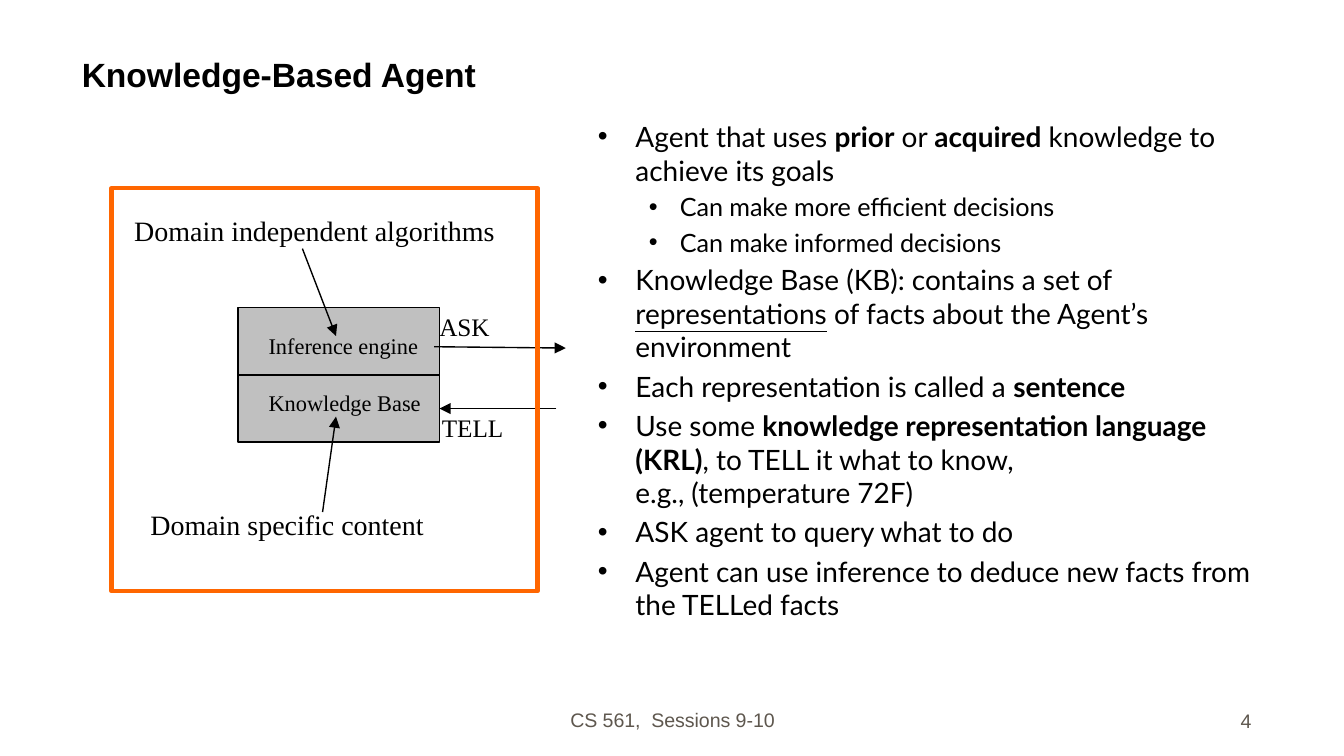
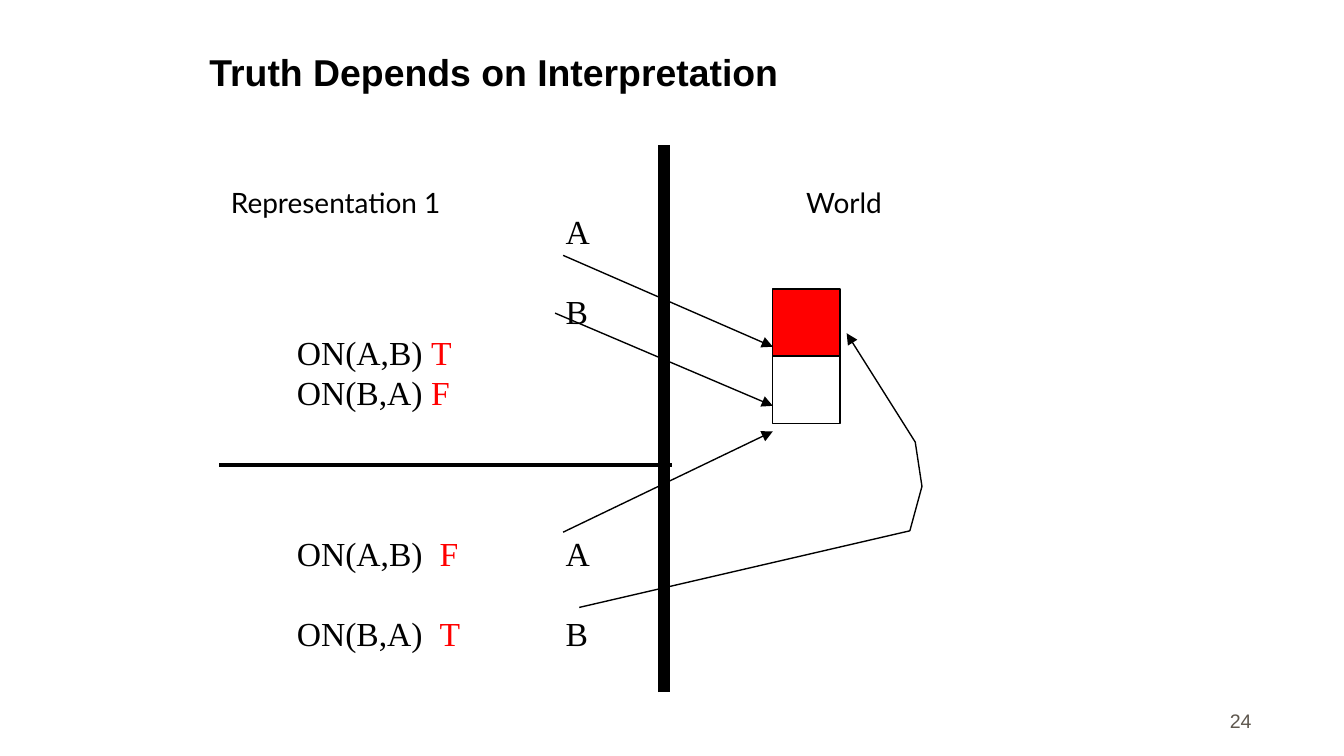
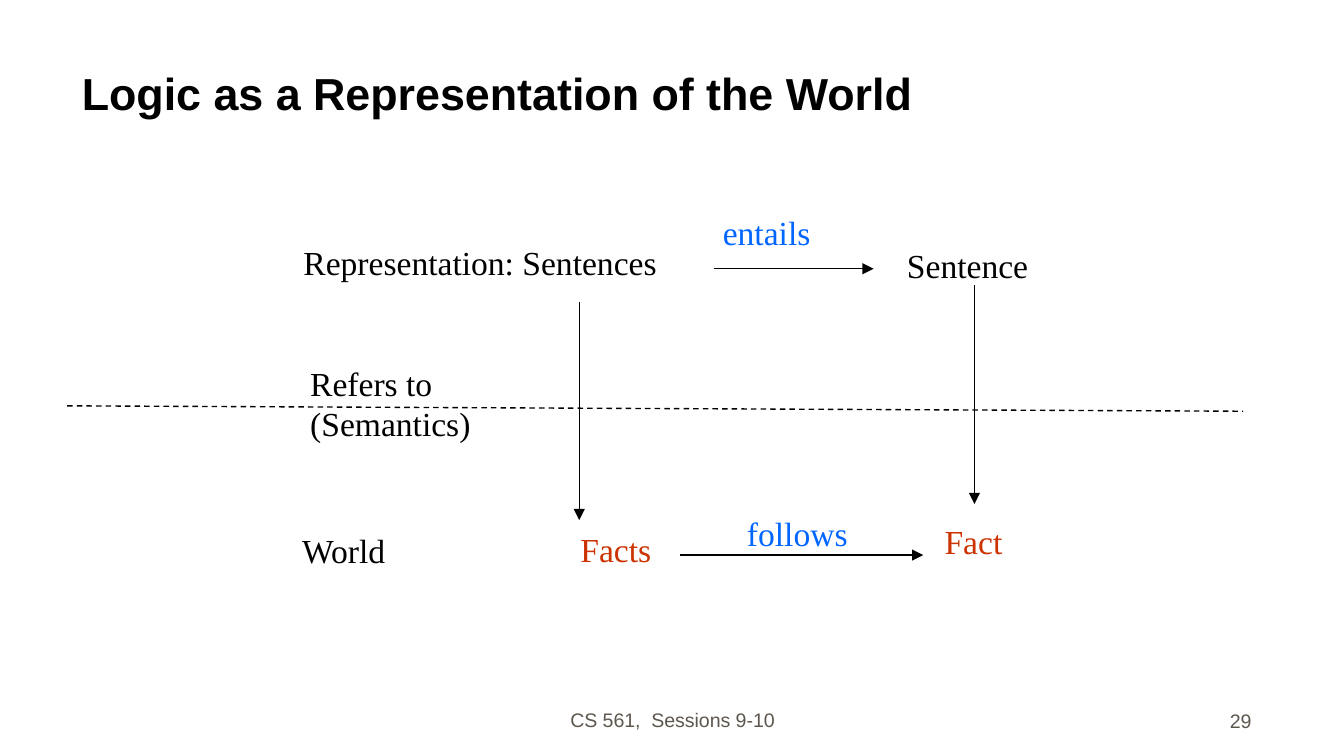
from copy import deepcopy
from dataclasses import dataclass
from typing import Any

from pptx import Presentation
from pptx.dml.color import RGBColor
from pptx.enum.dml import MSO_LINE_DASH_STYLE as Dash
from pptx.enum.shapes import MSO_CONNECTOR as Connector, MSO_SHAPE as Shape
from pptx.enum.text import MSO_ANCHOR as Anchor, MSO_AUTO_SIZE as AutoSize, PP_ALIGN as Align
from pptx.oxml.ns import qn
from pptx.util import Emu, Pt
from lxml.etree import SubElement

PX = 9144
SLIDE_WIDTH = 1000 * PX
SLIDE_HEIGHT = SLIDE_WIDTH * 9 // 16
TAB = 100

BLACK = RGBColor(0x00, 0x00, 0x00)
WHITE = RGBColor(0xFF, 0xFF, 0xFF)
GREY = RGBColor(0xC0, 0xC0, 0xC0)
FOOTER_GREY = RGBColor(0x5E, 0x57, 0x4E)
ORANGE = RGBColor(0xFF, 0x66, 0x00)
RED = RGBColor(0xFF, 0x00, 0x00)
RUST = RGBColor(0xCC, 0x33, 0x00)
BLUE = RGBColor(0x00, 0x66, 0xFF)

BODY = {"name": "Lato", "size": Pt(15)}
SUB_BODY = {"name": "Lato", "size": Pt(13.5)}
TITLE = {"name": "Arial", "bold": True}
FOOTER = {"name": "Arial", "size": Pt(10.5)}
SERIF = "Times New Roman"
BOLD = {"bold": True}
UNDERLINE = {"underline": True}
ROW_GAP = 21.5

FACTS = [
    (0, [("Agent that uses ", {}), ("prior", BOLD), (" or ", {}), ("acquired", BOLD),
         (" knowledge to achieve its goals", {})]),
    (1, [("Can make more efficient decisions", {})]),
    (1, [("Can make informed decisions", {})]),
    (0, [("Knowledge Base (KB): contains a set of ", {}), ("representations", UNDERLINE),
         (" of facts about the Agent’s environment", {})]),
    (0, [("Each representation is called a ", {}), ("sentence", BOLD)]),
    (0, [("Use some ", {}), ("knowledge representation language (KRL)", BOLD),
         (", to TELL it what to know,", {}), ("\n", {}), ("e.g., (temperature 72F)", {})]),
    (0, [("ASK agent to query what to do", {})]),
    (0, [("Agent can use inference to deduce new facts from the TELLed facts", {})]),
]
STATEMENTS = [
    (0, [("\t\tA", BLACK)]),
    (1, [("\t\tB", BLACK)]),
    (0, [("ON(A,B) ", BLACK), ("T", RED)]),
    (0, [("ON(B,A) ", BLACK), ("F", RED)]),
    (3, [("ON(A,B)  ", BLACK), ("F\t", RED), ("A", BLACK)]),
    (1, [("ON(B,A)  ", BLACK), ("T", RED), (" \tB", BLACK)]),
]


def set_format(target, values):
    """Set each named attribute of the target."""
    for name, value in values.items():
        setattr(target, name, value)


def add_run(paragraph, text, font, color=BLACK):
    """Append a formatted run, or a line break sized like the run before it."""
    if text == "\n":
        paragraph.add_line_break()
        paragraph._p[-1].append(deepcopy(paragraph.runs[-1]._r.rPr))
        return
    run = paragraph.add_run()
    run.text = text
    set_format(run.font, font)
    run.font.color.rgb = color


def set_indent(paragraph, margin=0, hanging=0, bullet=None):
    """Give a paragraph its indents, its tab width and, if asked, a bullet."""
    properties = paragraph._p.get_or_add_pPr()
    for name, length in {"marL": margin, "indent": -hanging, "defTabSz": TAB}.items():
        properties.set(name, str(length * PX))
    if bullet:
        SubElement(properties, qn("a:buFont")).set("typeface", "Arial")
        SubElement(properties, qn("a:buChar")).set("char", bullet)


def set_line(line, color, width, dash=None, arrow=False):
    """Style an outline or connector line."""
    line.color.rgb = color
    line.width = Pt(width)
    if dash:
        line.dash_style = dash
    if arrow:
        SubElement(line._get_or_add_ln(), qn("a:tailEnd")).set("type", "triangle")


@dataclass
class Region:
    """A box on a slide whose parts are placed from its top left corner."""

    slide: Any
    left: int
    top: int
    width: int
    height: int

    def point(self, x, y):
        """Turn an offset in px into a slide position."""
        return Emu((self.left + x) * PX), Emu((self.top + y) * PX)

    def frame(self, x=0, y=0, width=None, height=None, **values):
        """Add a wrapped text frame, by default as large as the region."""
        size = Emu((width or self.width) * PX), Emu((height or self.height) * PX)
        frame = self.slide.shapes.add_textbox(*self.point(x, y), *size).text_frame
        set_format(frame, {"word_wrap": True, **values})
        return frame

    def label(self, x, y, width, height, text, size, color=BLACK):
        """Add a serif label with one paragraph per line of text."""
        frame = self.frame(x, y, width, height, auto_size=AutoSize.SHAPE_TO_FIT_TEXT)
        for index, line in enumerate(text.split("\n")):
            paragraph = frame.add_paragraph() if index else frame.paragraphs[0]
            add_run(paragraph, line, {"name": SERIF, "size": Pt(size)}, color)

    def rectangle(self, x, y, width, height, fill=None, line=BLACK, weight=0.75):
        """Add an outlined rectangle."""
        shape = self.slide.shapes.add_shape(
            Shape.RECTANGLE, *self.point(x, y), Emu(width * PX), Emu(height * PX))
        self.finish(shape, fill)
        set_line(shape.line, line, weight)
        return shape

    def finish(self, shape, fill=None):
        """Remove the shadow and set the fill of a shape."""
        shape.shadow.inherit = False
        if fill is None:
            shape.fill.background()
        else:
            shape.fill.solid()
            shape.fill.fore_color.rgb = fill

    def line(self, start, end, weight=0.75, dash=None, arrow=False):
        """Add a straight line between two offsets."""
        connector = self.slide.shapes.add_connector(
            Connector.STRAIGHT, *self.point(*start), *self.point(*end))
        set_line(connector.line, BLACK, weight, dash, arrow)
        SubElement(connector._element.spPr, qn("a:effectLst"))
        return connector

    def arrow(self, start, end):
        """Add a thin line with an arrowhead at its end."""
        return self.line(start, end, arrow=True)


def add_title(region, text, size):
    """Write the slide title at the bottom of its region."""
    frame = region.frame(vertical_anchor=Anchor.BOTTOM)
    add_run(frame.paragraphs[0], text, {**TITLE, "size": Pt(size)})


def add_footer(slide, number, session="CS 561,  Sessions 9-10"):
    """Write the session line, if any, and the slide number."""
    parts = [(Region(slide, 733, 512, 208, 38), number, Align.RIGHT)]
    if session:
        parts.insert(0, (Region(slide, 342, 511, 317, 38), session, Align.CENTER))
    for region, text, alignment in parts:
        paragraph = region.frame(vertical_anchor=Anchor.BOTTOM).paragraphs[0]
        paragraph.alignment = alignment
        add_run(paragraph, text, FOOTER, FOOTER_GREY)


def add_facts(region):
    """List the properties of a knowledge-based agent."""
    frame = region.frame()
    for index, (level, runs) in enumerate(FACTS):
        paragraph = frame.add_paragraph() if index else frame.paragraphs[0]
        margin, hanging, gap, font = [(28, 28, 3, BODY), (61, 23, 2.7, SUB_BODY)][level]
        set_format(paragraph, {"level": level, "space_before": Pt(gap if index else 0)})
        set_indent(paragraph, margin, hanging, "•")
        for text, emphasis in runs:
            add_run(paragraph, text, {**font, **emphasis})


def add_agent(region):
    """Draw the agent with its inference engine and knowledge base."""
    region.rectangle(94, 89, 150, 50, GREY)
    knowledge_base = region.rectangle(94, 139, 150, 50, GREY)
    for label in [
        (107, 145, 135, 30, "Knowledge Base", 12),
        (107, 102, 133, 30, "Inference engine", 12),
        (7, 14, 291, 35, "Domain independent algorithms", 15),
        (19, 233, 225, 35, "Domain specific content", 15),
        (236, 162, 67, 33, "TELL", 13.5),
        (234, 87, 58, 33, "ASK", 13.5),
    ]:
        region.label(*label)
    region.arrow((157, 241), (167, 170))
    region.arrow((142, 45), (167, 110))
    region.arrow((240, 118), (338, 119))
    region.arrow((331, 164), (244, 164)).end_connect(knowledge_base, 3)
    region.rectangle(0, 0, region.width, region.height, line=ORANGE, weight=2.25)


def add_headings(region):
    """Write the headings of the two sides."""
    paragraph = region.frame().paragraphs[0]
    set_indent(paragraph, 28, 28)
    add_run(paragraph, "Representation 1\t\t\tWorld", BODY)


def add_interpretations(region):
    """Draw two interpretations pointing at the same stack of blocks."""
    region.line((331, 407), (331, 0), 6)
    region.line((0, 238), (337, 238), 2)
    for row, color in enumerate([RED, WHITE]):
        region.rectangle(412, 107 + 50 * row, 50, 50, color)
    for start, end in [
        ((256, 288), (412, 213)),
        ((256, 82), (412, 150)),
        ((250, 125), (412, 194)),
    ]:
        region.arrow(start, end)
    points = [region.point(*offset)
              for offset in [(268, 344), (514, 287), (523, 254), (518, 221), (467, 140)]]
    builder = region.slide.shapes.build_freeform(*points[0])
    builder.add_line_segments(points[1:], close=False)
    route = builder.convert_to_shape()
    region.finish(route)
    set_line(route.line, BLACK, 0.75, arrow=True)


def add_statements(region):
    """Write the symbols and the truth value of each statement."""
    frame = region.frame()
    for index, (skipped_rows, runs) in enumerate(STATEMENTS):
        paragraph = frame.add_paragraph() if index else frame.paragraphs[0]
        paragraph.space_before = Pt(skipped_rows * ROW_GAP)
        set_indent(paragraph)
        for text, color in runs:
            add_run(paragraph, text, {"name": SERIF, "size": Pt(18)}, color)


def add_semantics(region):
    """Relate sentences to facts across the dashed border."""
    for start, end in [
        ((481, 47), (600, 47)),
        ((675, 59), (675, 222)),
        ((456, 260), (637, 260)),
        ((381, 72), (381, 234)),
    ]:
        region.arrow(start, end)
    for x, y, width, height, text, color in [
        (372, 236, 73, 40, "Facts", RUST),
        (165, 236, 117, 39, "World", BLACK),
        (643, 230, 64, 40, "Fact", RUST),
        (496, 224, 117, 39, "follows", BLUE),
        (171, 112, 141, 71, "Refers to\n(Semantics)", BLACK),
        (166, 22, 286, 40, "Representation: Sentences", BLACK),
        (615, 24, 111, 40, "Sentence", BLACK),
        (478, 0, 117, 39, "entails", BLUE),
    ]:
        region.label(x, y, width, height, text, 18, color)
    region.line((0, 149), (region.width, 153), dash=Dash.DASH)


def main():
    """Build and save the three slides."""
    presentation = Presentation()
    set_format(presentation, {"slide_width": Emu(SLIDE_WIDTH), "slide_height": Emu(SLIDE_HEIGHT)})
    blank = presentation.slide_layouts[6]
    agent, truth, logic = [presentation.slides.add_slide(blank) for _ in range(3)]

    add_footer(agent, "4")
    add_title(Region(agent, 51, 19, 892, 56), "Knowledge-Based Agent", 18)
    add_facts(Region(agent, 435, 84, 518, 412))
    add_agent(Region(agent, 83, 140, 317, 300))

    add_footer(truth, "24", session=None)
    add_title(Region(truth, 146, -2, 698, 77), "Truth Depends on Interpretation", 20)
    add_headings(Region(truth, 162, 133, 662, 40))
    add_interpretations(Region(truth, 163, 108, 523, 407))
    add_statements(Region(truth, 211, 152, 332, 404))

    add_footer(logic, "29")
    add_title(Region(logic, 51, 38, 892, 56), "Logic as a Representation of the World", 24)
    add_semantics(Region(logic, 50, 153, 875, 276))
    presentation.save("out.pptx")


if __name__ == "__main__":
    main()
